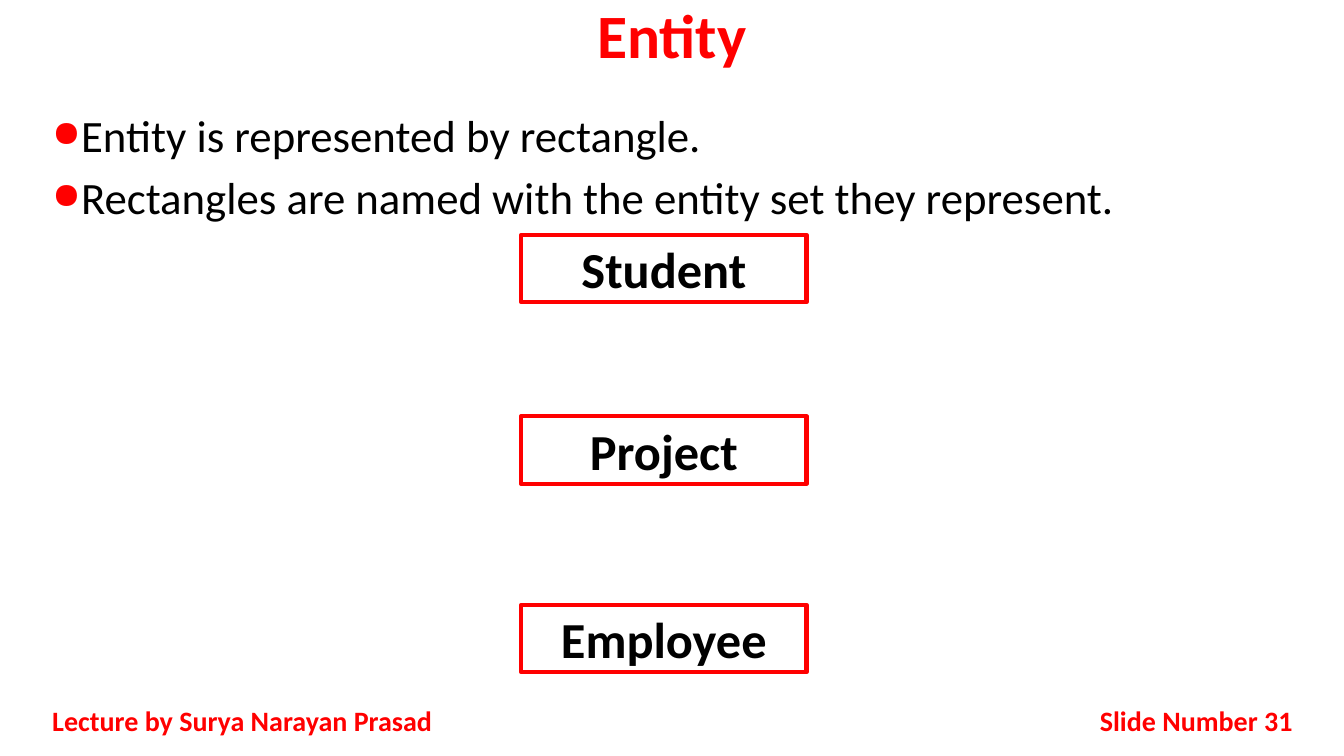
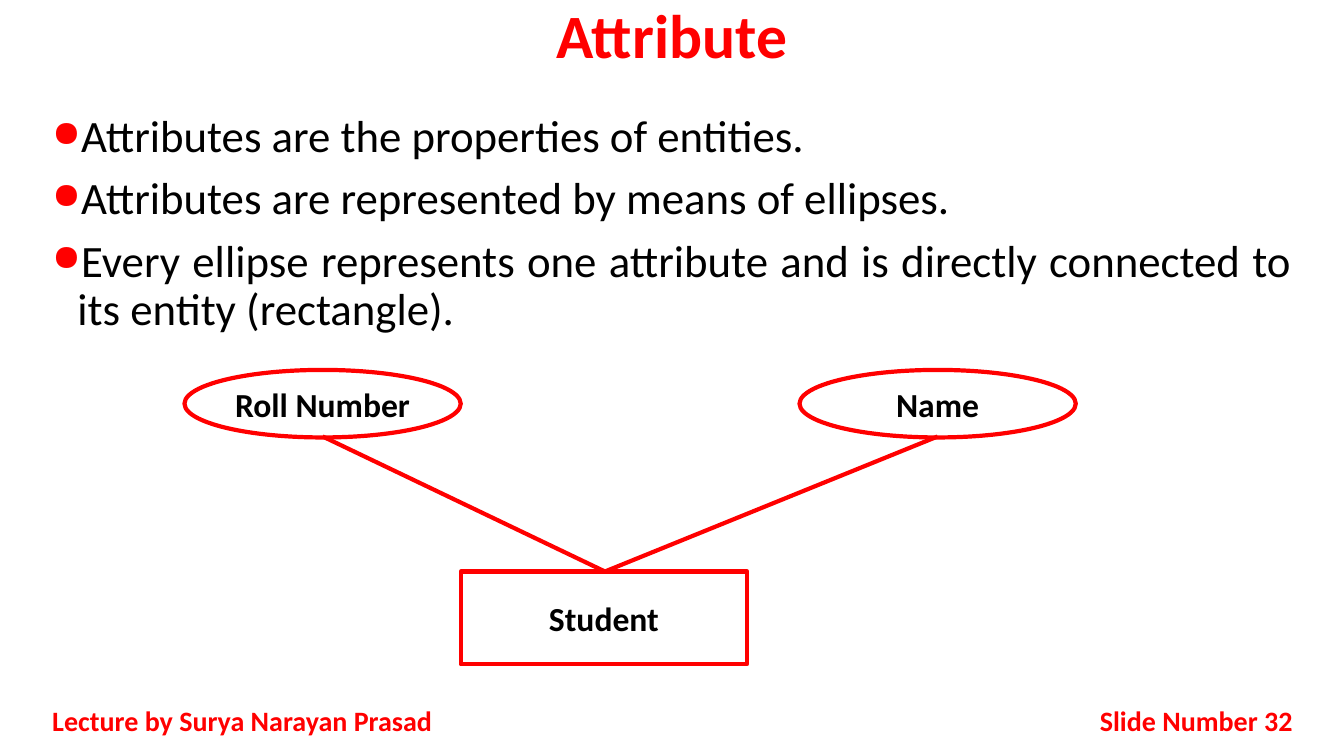
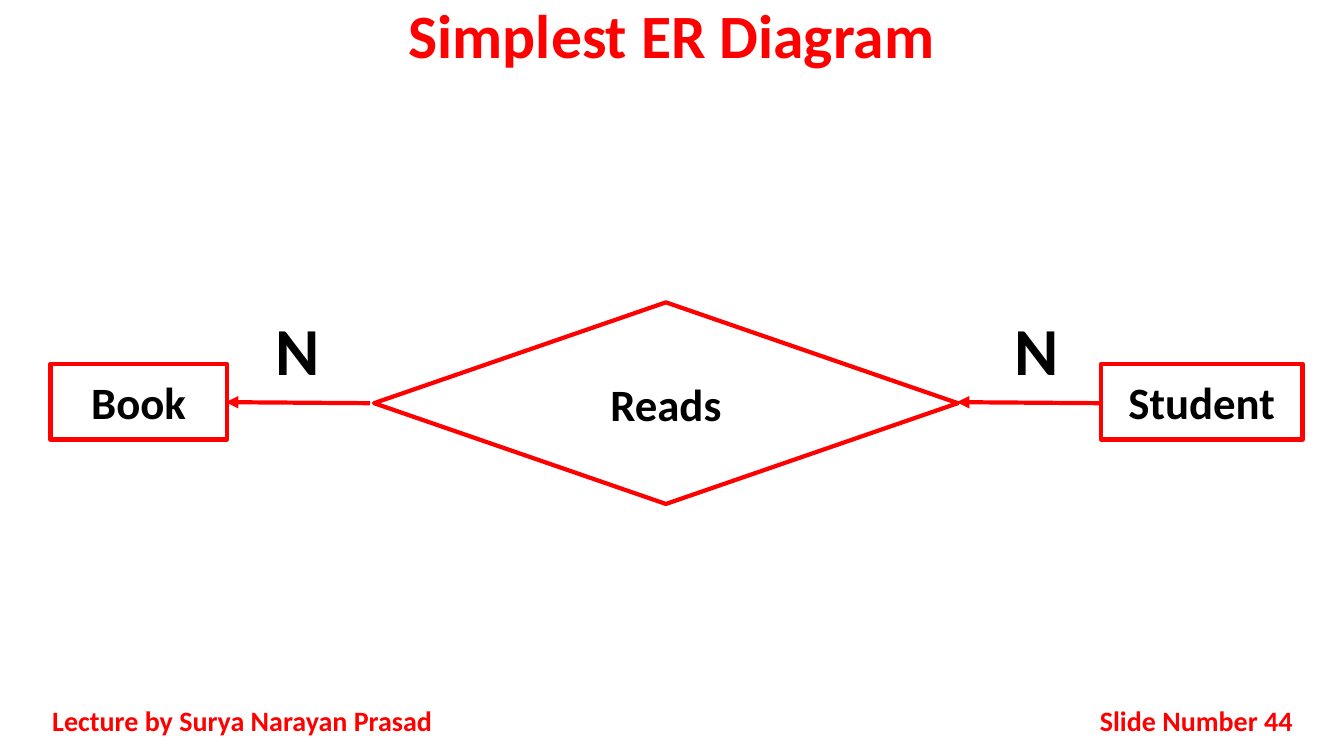
"""Build three lecture slides on entity-relationship diagrams."""
from dataclasses import dataclass

from lxml.etree import SubElement
from pptx import Presentation
from pptx.dml.color import RGBColor
from pptx.enum.shapes import MSO_CONNECTOR, MSO_SHAPE
from pptx.enum.text import MSO_ANCHOR, PP_ALIGN
from pptx.oxml.ns import qn
from pptx.slide import Slide
from pptx.text.text import TextFrame
from pptx.util import Inches, Pt

RED = RGBColor(0xFF, 0x00, 0x00)
BLACK = RGBColor(0x00, 0x00, 0x00)
FONT = "Calibri"
LINE_WIDTH = Pt(3)
LECTURER = "Lecture by Surya Narayan Prasad"

Box = tuple[float, float, float, float]
Point = tuple[float, float]


@dataclass(frozen=True)
class Node:
    text: str
    box: Box
    size: int
    kind: MSO_SHAPE = MSO_SHAPE.RECTANGLE


@dataclass(frozen=True)
class Link:
    start: Point
    end: Point
    arrow: bool = False


@dataclass(frozen=True)
class Label:
    text: str
    box: Box


@dataclass(frozen=True)
class Page:
    title: str
    number: int
    bullets: tuple[str, ...] = ()
    items: tuple[Node | Link | Label, ...] = ()


def write(tf: TextFrame, *lines: str, size: int, color: RGBColor = BLACK,
          bold: bool = True, align: PP_ALIGN = PP_ALIGN.CENTER,
          anchor: MSO_ANCHOR = MSO_ANCHOR.TOP, spacing: float = 1.0,
          before: int = 0, bullet: bool = False) -> None:
    tf.word_wrap = True
    tf.vertical_anchor = anchor
    for i, line in enumerate(lines):
        p = tf.paragraphs[0] if i == 0 else tf.add_paragraph()
        p.alignment = align
        p.line_spacing = spacing
        p.space_before = Pt(before)
        if bullet:
            add_bullet(p)
        r = p.add_run()
        r.text = line
        r.font.name = FONT
        r.font.size = Pt(size)
        r.font.bold = bold
        r.font.color.rgb = color


def add_bullet(p) -> None:
    pPr = p._p.get_or_add_pPr()
    indent = Inches(0.25)
    pPr.set("marL", str(indent))
    pPr.set("indent", str(-indent))
    color = SubElement(pPr, qn("a:buClr"))
    SubElement(color, qn("a:srgbClr"), val=str(RED))
    SubElement(pPr, qn("a:buSzPct"), val="81000")
    SubElement(pPr, qn("a:buChar"), char="●")


def add_text(s: Slide, box: Box, *lines: str, **fmt) -> None:
    sp = s.shapes.add_textbox(*map(Inches, box))
    write(sp.text_frame, *lines, **fmt)


def add_node(s: Slide, node: Node) -> None:
    sp = s.shapes.add_shape(node.kind, *map(Inches, node.box))
    sp.shadow.inherit = False
    sp.fill.background()
    sp.line.color.rgb = RED
    sp.line.width = LINE_WIDTH
    write(sp.text_frame, node.text, size=node.size, anchor=MSO_ANCHOR.MIDDLE)


def add_link(s: Slide, link: Link) -> None:
    ends = map(Inches, link.start + link.end)
    cx = s.shapes.add_connector(MSO_CONNECTOR.STRAIGHT, *ends)
    cx.line.color.rgb = RED
    cx.line.width = LINE_WIDTH
    if link.arrow:
        SubElement(cx.line._get_or_add_ln(), qn("a:tailEnd"), type="triangle")
    SubElement(cx._element.spPr, qn("a:effectLst"))


def add_page(prs, page: Page) -> None:
    s = prs.slides.add_slide(prs.slide_layouts[6])
    add_text(s, (0, 0, 13.33, 0.83), page.title, size=44, color=RED, spacing=0.9)
    if page.bullets:
        add_text(s, (0.42, 1.08, 12.5, 5.58), *page.bullets, size=32, bold=False,
                 align=PP_ALIGN.JUSTIFY, spacing=0.9, before=10, bullet=True)
    footer = dict(size=20, color=RED, anchor=MSO_ANCHOR.MIDDLE)
    add_text(s, (0.42, 6.95, 4.17, 0.4), LECTURER, align=PP_ALIGN.JUSTIFY, **footer)
    add_text(s, (10.17, 6.95, 2.75, 0.4), f"Slide Number {page.number}",
             align=PP_ALIGN.RIGHT, **footer)
    for item in page.items:
        if isinstance(item, Node):
            add_node(s, item)
        elif isinstance(item, Link):
            add_link(s, item)
        else:
            add_text(s, item.box, item.text, size=48)


ENTITIES = (("Student", 2.33), ("Project", 4.13), ("Employee", 6))
ATTRIBUTES = (("Roll Number", 1.83), ("Name", 7.93))
STUDENT_TOP = (6, 5.67)

PAGES = (
    Page("Entity", 31,
         ("Entity is represented by rectangle.",
          "Rectangles are named with the entity set they represent."),
         tuple(Node(name, (5.17, top, 2.83, 0.67), 36) for name, top in ENTITIES)),
    Page("Attribute", 32,
         ("Attributes are the properties of entities.",
          "Attributes are represented by means of ellipses.",
          "Every ellipse represents one attribute and is directly connected to "
          "its entity (rectangle)."),
         (Node("Student", (4.57, 5.67, 2.84, 0.92), 24),
          *(Node(name, (left, 3.67, 2.74, 0.67), 24, MSO_SHAPE.OVAL)
            for name, left in ATTRIBUTES),
          *(Link((left + 1.37, 4.33), STUDENT_TOP) for _, left in ATTRIBUTES))),
    Page("Simplest ER Diagram", 44, items=(
        Node("Book", (0.5, 3.61, 1.75, 0.75), 32),
        Node("Student", (10.92, 3.61, 2, 0.75), 32),
        Node("Reads", (3.71, 3, 5.79, 2), 32, MSO_SHAPE.FLOWCHART_DECISION),
        Link((10.92, 4), (9.49, 3.99), arrow=True),
        Link((3.67, 4), (2.24, 3.99), arrow=True),
        *(Label("N", (left, 3.01, 1.43, 0.91)) for left in (2.24, 9.57)))),
)


def main() -> None:
    prs = Presentation()
    prs.slide_width = Inches(13.33)
    prs.slide_height = Inches(7.5)
    for page in PAGES:
        add_page(prs, page)
    prs.save("out.pptx")


main()
